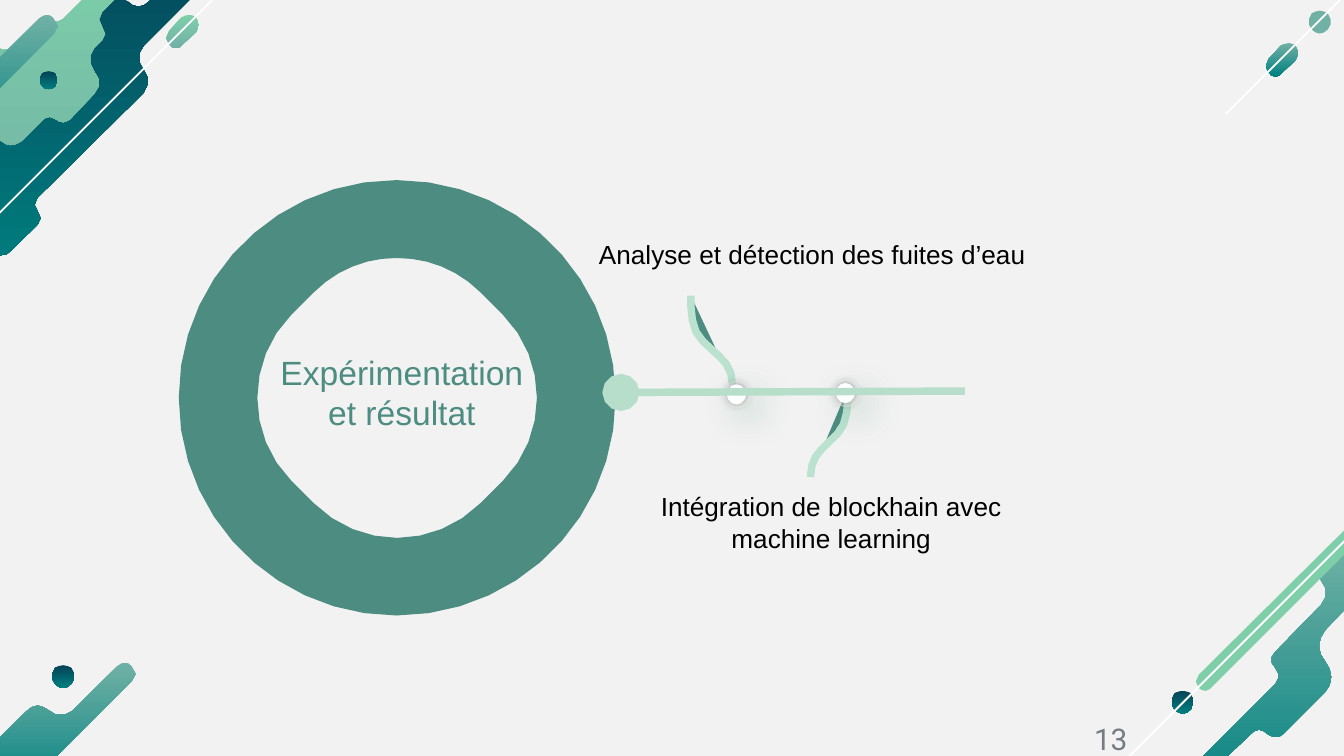
from dataclasses import dataclass
from math import dist, sqrt

from lxml import etree
from pptx import Presentation
from pptx.dml.color import RGBColor
from pptx.enum.shapes import MSO_CONNECTOR, MSO_SHAPE
from pptx.enum.text import MSO_ANCHOR, MSO_AUTO_SIZE, PP_ALIGN
from pptx.oxml.ns import qn
from pptx.util import Cm, Pt

LINE, OVAL = MSO_CONNECTOR.STRAIGHT, MSO_SHAPE.OVAL
MID, GROW, FIXED = MSO_ANCHOR.MIDDLE, MSO_AUTO_SIZE.SHAPE_TO_FIT_TEXT, MSO_AUTO_SIZE.NONE
CENTER, RIGHT = PP_ALIGN.CENTER, PP_ALIGN.RIGHT


@dataclass(frozen=True)
class Theme:
    back: str = "F2F2F2"
    white: str = "FFFFFF"
    black: str = "000000"
    ring: str = "4D8C81"
    axis: str = "B6DECA"
    stem: str = "BBE2CF"
    glow: str = "3E9168"
    gray: str = "757C83"
    mint: str = "7ECFA9"
    sage: str = "71B1A5"
    deep: tuple = ("044257", "008080")
    fresh: tuple = ("7ECFA9", "71B1A5")
    calm: tuple = ("71B1A5", "008080")
    font: str = "Arial"
    digit: str = "Roboto"
    title: int = 18
    body: int = 14
    page: int = 16
    thick: int = 4
    thin: int = 1


T = Theme()

# Outlines on a grid of 0.0254 cm: "x,y" is a corner, six numbers are a curve.
DARK = """178,-61 171,-58 111,1 109,3,106,5,103,5 100,5,97,3,95,1
86,-2 78,1 -29,108 -92,205 -87,214 0,190 3,190,7,189,9,186 28,167
31,165,31,160,28,157 25,155,25,150,28,147 107,69 111,64,111,56,107,52
102,47,102,39,107,34 185,-44 185,-58"""
LEAF = """97,-32 91,-30 47,14 46,15,44,16,42,16 41,16,39,15,38,14
37,13,35,12,34,12 32,12,31,13,29,14 8,36 7,37,5,37,4,37 2,37,1,37,0,36
-4,34 -117,168 -108,176 -14,105 -12,103,-9,102,-6,102
-4,102,-1,103,1,105 3,107,6,108,8,108 11,108,13,107,16,105 32,89 33,88,35,87,37,87
38,87,40,88,42,89 43,90,45,91,47,91 48,91,50,90,52,89 70,70 75,65,75,58,70,53
66,48,66,40,70,36 76,30 79,28,79,23,76,20 73,17,73,12,76,9 103,-18 103,-30"""
WAVE = """35,11 33,11,31,12,29,14 -4,47 -7,49,-10,50,-13,50 -16,50,-19,49,-21,47
-24,45,-27,43,-30,43 -33,43,-36,45,-38,47 -69,78 -135,103 -125,112 -20,85
40,25 44,22,44,17,40,14 39,12,37,11,35,11"""
EDGE = """999,401 995,402 983,414 978,419,978,427,983,432
988,437,988,445,983,450 949,485 945,488,945,494,949,497 952,500,952,506,949,509
863,595 867,606 931,546 932,544,935,543,937,543 939,543,941,544,943,546
945,548,947,548,949,548 951,548,954,548,955,546 986,515 992,509,992,499,986,492
980,486,980,476,986,469 1019,434"""
BAR = """1022,375 1018,377 892,502 889,505,889,509,892,512
893,513,895,514,897,514 898,514,900,513,901,512 1027,386 1027,377"""
PILL = """18,0 16,0,14,1,12,2 3,12 0,15,0,20,3,22 4,24,6,25,8,25 10,25,12,24,13,22
23,13 26,10,26,5,23,2 21,1,20,0,18,0"""
DOT = """9,0 7,0,5,1,3,2 0,6,0,11,3,14 5,16,7,17,9,17 11,17,13,16,15,14
18,11,18,6,15,2 13,1,11,0,9,0"""
HOLE = """295,192 273,192,251,200,233,218 217,234 183,268,183,324,217,358
233,374 268,409,323,409,358,374 374,358 408,324,408,268,374,234
358,218 340,200,318,192,295,192"""
DISC = """295,134 385,134,458,206,458,296 458,386,385,458,295,458
206,458,133,386,133,296 133,206,206,134,295,134"""

# Each corner: outlines (path, fill, shift x, shift y, scale), then its white streak.
CORNERS = [
    ([(DARK, T.deep, 0, 0, 1), (LEAF, T.fresh, 0, 0, 1), (WAVE, T.calm, 0, 0, 1),
      (PILL, T.fresh, 123, 11, 1), (DOT, T.deep, 29, 53, 0.8)], (-84, 242, 182, -24)),
    ([(EDGE, T.calm, 0, 0, 1), (BAR, T.mint, 0, 0, 1),
      (DOT, T.deep, 871, 514, 1)], (801, 602, 1067, 336)),
    ([(WAVE, T.calm, 58, 482, 1), (DOT, T.deep, 38, 495, 1)], None),
    ([(PILL, T.calm, 941, 32, 1), (DOT, T.sage, 973, 8, 1)], (912, 85, 1178, -181)),
]
# Stem outline, then left and top of the pin at its end.
STEMS = [
    ("514,220 514,231,514,246,523,254 534,265,545,270,545,286", 538, 283),
    ("631,289 631,300,631,315,623,323 612,334,603,339,603,355", 619, 282),
]
HEAD = ("Expérimentation et résultat", (190, 256, 218, 71), T.title, T.ring)
LABELS = [
    ("Intégration de blockhain avec machine learning", (447, 360, 343, 57), T.body, T.black),
    ("Analyse et détection des fuites d’eau", (433, 172, 343, 34), T.body, T.black),
]
PAGE = ("13", (776, 521, 63, 57), T.page, T.gray)


def grid(*vals):
    return [Cm(v * 0.0254) for v in vals]


def rgb(code):
    return RGBColor.from_string(code)


def trace(path, dx=0, dy=0, size=1):
    """Turn an outline into points; longer curves get more of them."""
    pts = []
    for word in path.split():
        n = [float(v) for v in word.split(",")]
        if len(n) == 2:
            pts.append(tuple(n))
            continue
        ends = [pts[-1], n[:2], n[2:4], n[4:]]
        steps = max(1, round(0.75 * sqrt(dist(ends[0], ends[3]))))
        for i in range(1, steps + 1):
            t = i / steps
            mix = ((1 - t) ** 3, 3 * t * (1 - t) ** 2, 3 * t * t * (1 - t), t ** 3)
            pts.append(tuple(sum(m * p[k] for m, p in zip(mix, ends)) for k in (0, 1)))
    return [grid(dx + x * size, dy + y * size) for x, y in pts]


def paint(shape, fill):
    shape.shadow.inherit = False
    shape.line.fill.background()
    if isinstance(fill, str):
        shape.fill.solid()
        shape.fill.fore_color.rgb = rgb(fill)
        return
    shape.fill.gradient()
    shape.fill.gradient_angle = 270
    for stop, code in zip(shape.fill.gradient_stops, fill):
        stop.color.rgb = rgb(code)


def draw(loops, fill, close=True):
    first, *rest = loops
    pen = shapes.build_freeform(*first[0], scale=1.0)
    pen.add_line_segments(first[1:], close=close)
    for loop in rest:
        pen.move_to(*loop[0])
        pen.add_line_segments(loop[1:], close=close)
    shape = pen.convert_to_shape()
    paint(shape, fill)
    return shape


def stroke(item, code, width):
    item.line.color.rgb = rgb(code)
    item.line.width = Pt(width)


def link(ends, code, width):
    line = shapes.add_connector(LINE, *grid(*ends))
    stroke(line, code, width)
    etree.SubElement(line._element.spPr, qn("a:effectLst"))
    return line


def disc(box, shade, alpha, blur, gap, angle):
    """White disc with an outer shadow."""
    shape = shapes.add_shape(OVAL, *grid(*box))
    paint(shape, T.white)
    node = etree.SubElement(
        shape._element.spPr.find(qn("a:effectLst")), qn("a:outerShdw"),
        blurRad=str(Pt(blur)), dist=str(Pt(gap)), dir=str(angle * 60000), rotWithShape="0")
    color = etree.SubElement(node, qn("a:srgbClr"), val=shade)
    etree.SubElement(color, qn("a:alpha"), val=str(alpha * 1000))
    return shape


def write(text, box, size, code, font=T.font, align=CENTER, **extra):
    frame = shapes.add_textbox(*grid(*box)).text_frame
    look = {"word_wrap": True, "vertical_anchor": MID, "auto_size": GROW, **extra}
    for key, val in look.items():
        setattr(frame, key, val)
    par = frame.paragraphs[0]
    par.text, par.alignment = text, align
    for key, val in {"name": font, "size": Pt(size)}.items():
        setattr(par.font, key, val)
    par.font.color.rgb = rgb(code)


deck = Presentation()
deck.slide_width, deck.slide_height = grid(1000, 562.5)
slide = deck.slides.add_slide(deck.slide_layouts[6])
slide.background.fill.solid()
slide.background.fill.fore_color.rgb = rgb(T.back)
shapes = slide.shapes

for parts, streak in CORNERS:
    for path, fill, *place in parts:
        draw([trace(path, *place)], fill)
    if streak:
        link(streak, T.white, T.thin)

write(*HEAD)
draw([trace(HOLE), trace(DISC)], T.ring)

for path, left, top in STEMS:
    stroke(draw([trace(path)], T.ring, close=False), T.stem, T.thick)
    halo = disc((left, top, 21, 21), T.glow, 62, 19, 8, 45)
    color = halo._element.spPr.find(qn("a:solidFill"))[0]
    etree.SubElement(color, qn("a:alpha"), val="42000")
    disc((left + 3, top + 3, 14, 15), T.black, 40, 5, 0, 0)

for label in LABELS:
    write(*label)
axis = link((462, 292, 718, 291), T.axis, T.thick)
etree.SubElement(axis.line._get_or_add_ln(), qn("a:headEnd"), type="oval", w="lg", len="lg")

sides = ("left", "top", "right", "bottom")
write(*PAGE, font=T.digit, align=RIGHT, auto_size=FIXED,
      **{f"margin_{side}": 0 for side in sides})
deck.save("out.pptx")
